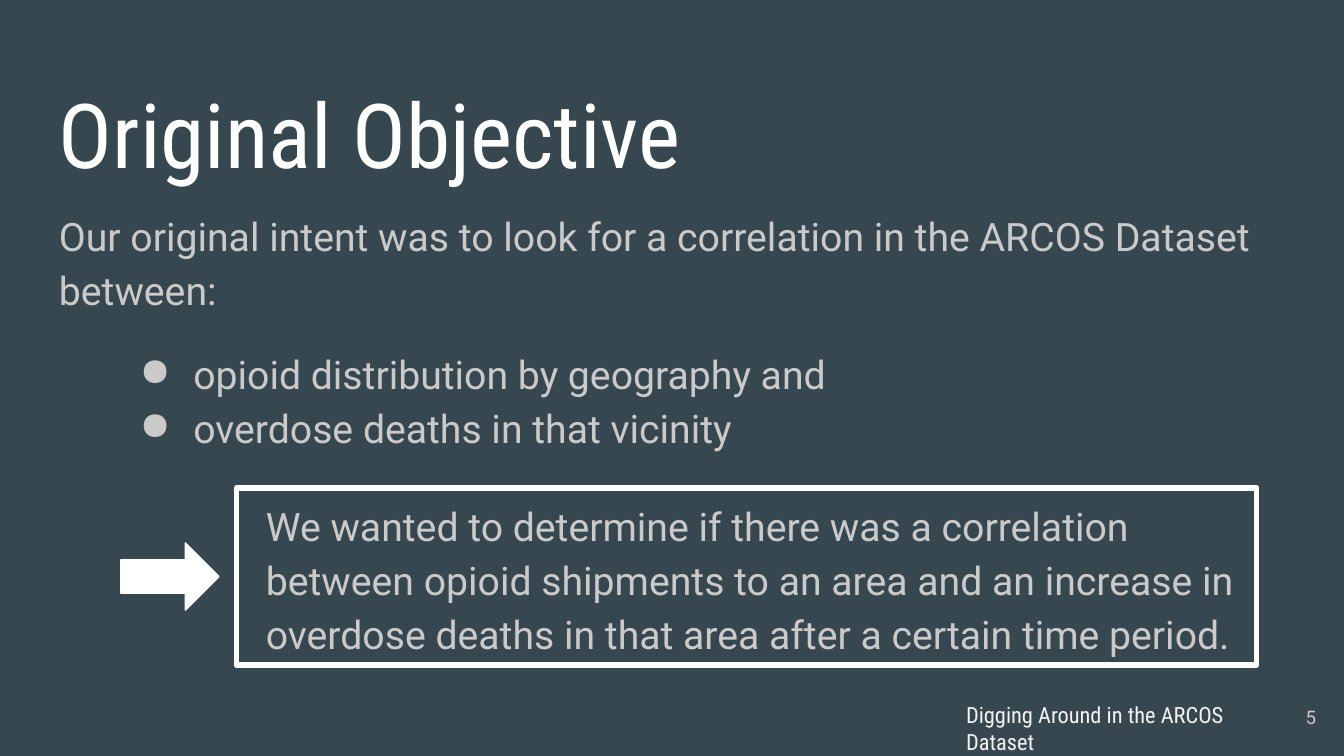
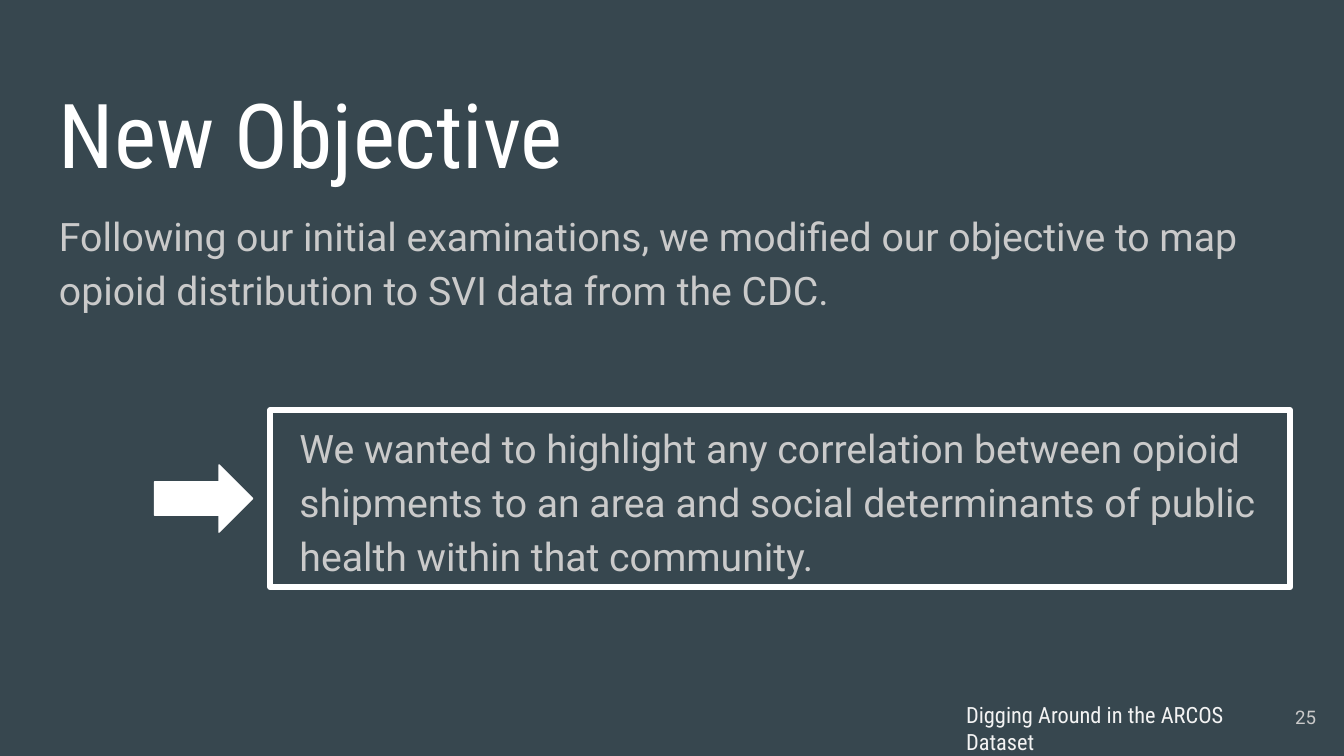
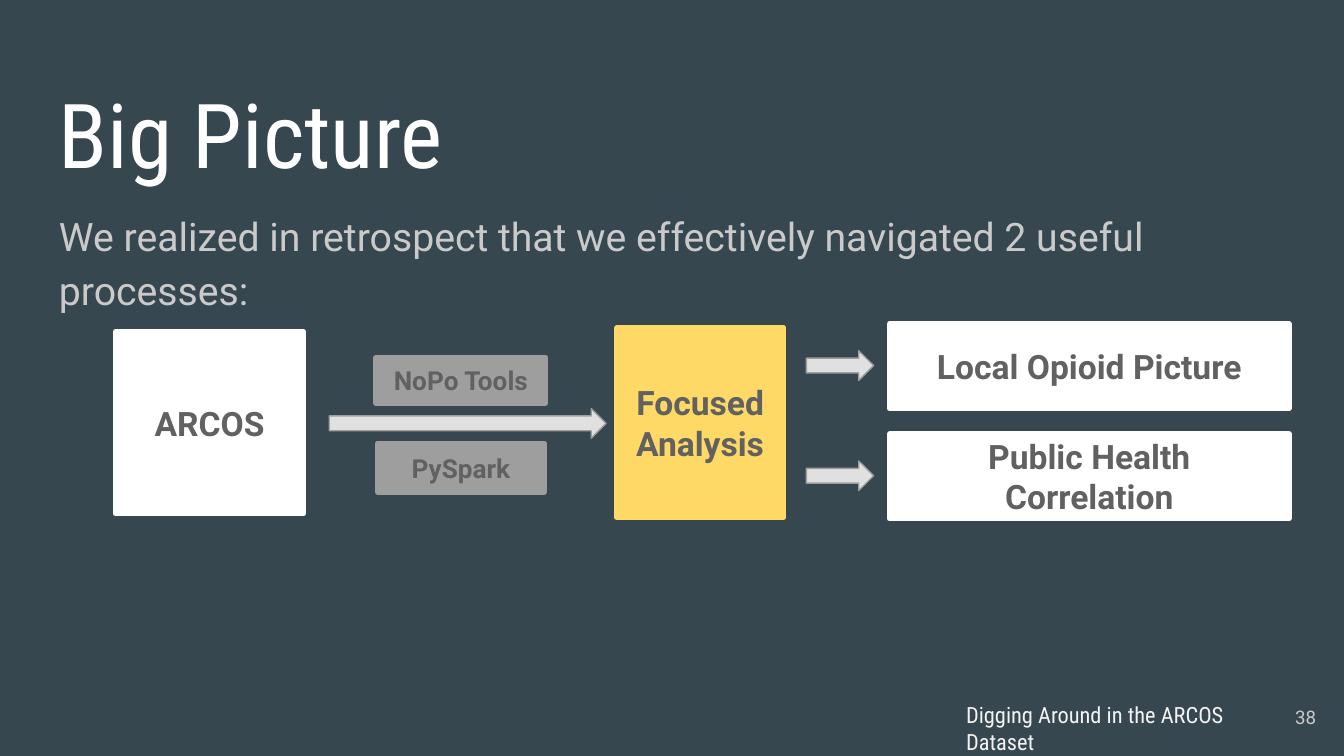
from lxml.etree import SubElement
from pptx import Presentation
from pptx.dml.color import RGBColor
from pptx.enum.shapes import MSO_SHAPE as Shape
from pptx.enum.text import MSO_ANCHOR as Anchor, PP_ALIGN as Align
from pptx.oxml.ns import qn
from pptx.util import Inches, Pt

COLORS = {
    "back": "37474F", "white": "FFFFFF", "footer": "F3F3F3", "body": "CACACA",
    "label": "616161", "gray": "9E9E9E", "arrow": "E0E0E0", "yellow": "FFD966",
}
COLUMNS, ROWS = 100, 56.25
HEAD, TEXT = "Roboto Condensed", "Roboto"


def color(name):
    return RGBColor.from_string(COLORS[name])


class Deck:
    def __init__(self):
        self.prs = Presentation()
        self.prs.slide_width, self.prs.slide_height = Inches(10), Inches(5.625)
        self.s = None

    def place(self, x, y, w, h):
        cell_w, cell_h = self.prs.slide_width / COLUMNS, self.prs.slide_height / ROWS
        return [round(v) for v in (x * cell_w, y * cell_h, w * cell_w, h * cell_h)]

    def slide(self, title, intro, number, bullets=()):
        self.s = self.prs.slides.add_slide(self.prs.slide_layouts[6])
        fill = self.s.background.fill
        fill.solid()
        fill.fore_color.rgb = color("back")
        self.text((70.9, 51.2, 25.7, 4.3), "Digging Around in the ARCOS Dataset", 12, "footer", HEAD)
        self.text((3.4, 4.9, 93.2, 6.3), title, 48, "white", HEAD)
        tf = self.text((3.4, 14.3, 93.2, 37.4), intro, 21, "body", spacing=1.15)
        for i, item in enumerate(bullets):
            p = tf.add_paragraph()
            self.style(p, item, 21, "body", spacing=1.15, left=1, hanging=-0.4)
            p.space_before = Pt(0 if i else 16)
            SubElement(p._p.get_or_add_pPr(), qn("a:buChar"), char="●")
        self.text((92.9, 51.2, 6, 4.3), str(number), 10, "body",
                  align=Align.RIGHT, anchor=Anchor.MIDDLE)

    def style(self, p, text, size, tone, font=TEXT, bold=False,
              align=Align.LEFT, spacing=None, left=0, hanging=0):
        p.text, p.alignment, p.line_spacing = text, align, spacing
        p.font.size, p.font.name, p.font.bold = Pt(size), font, bold
        p.font.color.rgb = color(tone)
        if left:
            pPr = p._p.get_or_add_pPr()
            pPr.set("marL", str(Inches(left)))
            pPr.set("indent", str(Inches(hanging)))

    def fill_text(self, sp, text, size, tone, anchor=Anchor.TOP, **look):
        tf = sp.text_frame
        tf.word_wrap, tf.vertical_anchor = True, anchor
        tf.margin_left = tf.margin_right = tf.margin_top = tf.margin_bottom = Inches(0.1)
        self.style(tf.paragraphs[0], text, size, tone, **look)
        return tf

    def text(self, box, text, size, tone, font=TEXT, **look):
        sp = self.s.shapes.add_textbox(*self.place(*box))
        return self.fill_text(sp, text, size, tone, font=font, **look)

    def shape(self, kind, box, fill, line, width):
        sp = self.s.shapes.add_shape(kind, *self.place(*box))
        sp.shadow.inherit = False
        if fill:
            sp.fill.solid()
            sp.fill.fore_color.rgb = color(fill)
        else:
            sp.fill.background()
        sp.line.color.rgb = color(line)
        sp.line.width = Pt(width)
        return sp

    def arrow(self, box, fill="arrow", line="gray"):
        self.shape(Shape.RIGHT_ARROW, box, fill, line, 0.75)

    def block(self, box, text, fill="white", size=18):
        sp = self.shape(Shape.RECTANGLE, box, fill, fill, 3)
        self.fill_text(sp, text, size, "label", Anchor.MIDDLE, bold=True, align=Align.CENTER)

    def callout(self, x, y, text):
        sp = self.shape(Shape.RECTANGLE, (x, y, 75.9, 13.2), None, "white", 3)
        self.fill_text(sp, text, 21, "body", Anchor.MIDDLE, spacing=1.15, left=0.12)
        self.arrow((x - 8.6, y + 4.1, 7.3, 5), "white", "white")


def main():
    deck = Deck()

    deck.slide("Original Objective",
               "Our original intent was to look for a correlation in the ARCOS Dataset between:", 5,
               ["opioid distribution by geography and", "overdose deaths in that vicinity"])
    deck.callout(17.6, 36.3, "We wanted to determine if there was a correlation between opioid "
                 "shipments to an area and an increase in overdose deaths in that area "
                 "after a certain time period.")

    deck.slide("New Objective",
               "Following our initial examinations, we modified our objective to map "
               "opioid distribution to SVI data from the CDC.", 25)
    deck.callout(20.1, 30.5, "We wanted to highlight any correlation between opioid shipments to "
                 "an area and social determinants of public health within that community.")

    deck.slide("Big Picture",
               "We realized in retrospect that we effectively navigated 2 useful processes:", 38)
    deck.block((8.6, 24.7, 14, 13.5), "ARCOS")
    deck.arrow((24.5, 30.4, 20.6, 2.2))
    deck.block((28, 26.6, 12.6, 3.4), "NoPo Tools", "gray", 14)
    deck.block((28.1, 33, 12.4, 3.6), "PySpark", "gray", 14)
    deck.block((45.9, 24.4, 12.4, 14.1), "Focused Analysis", "yellow")
    for i, outcome in enumerate(["Local Opioid Picture", "Public Health Correlation"]):
        top = 24.1 + 8.2 * i
        deck.arrow((60, top + 2, 5, 2.2))
        deck.block((66.2, top, 29.7, 6.3), outcome)

    deck.prs.save("out.pptx")


if __name__ == "__main__":
    main()
